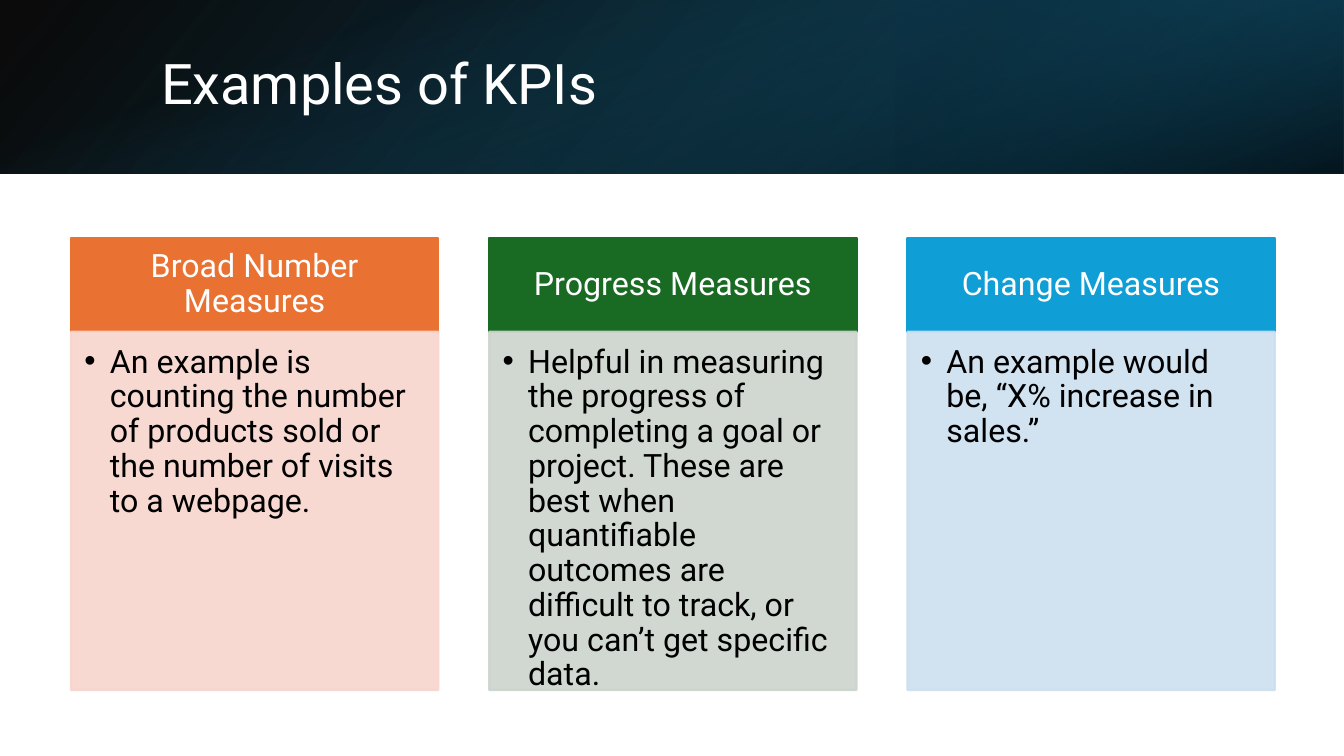
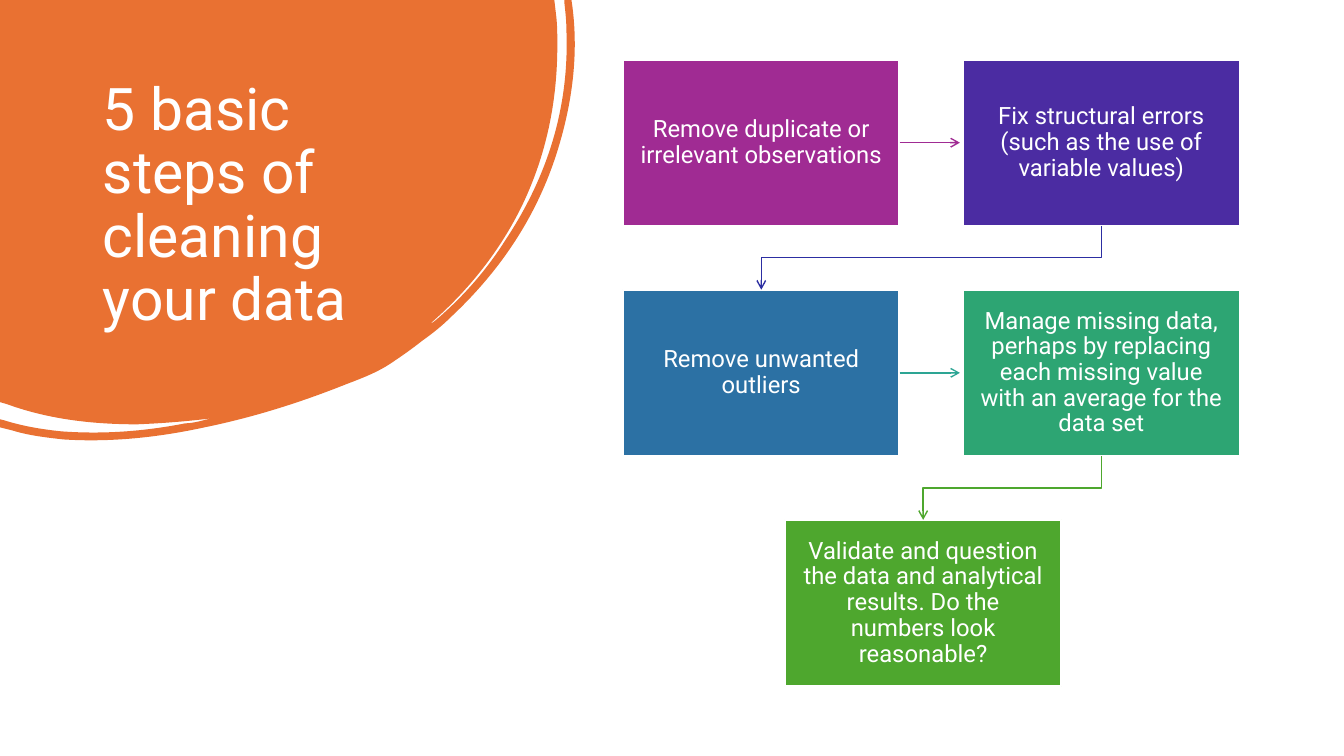
"""Build two slides: examples of KPIs and the steps of cleaning data."""
from dataclasses import dataclass

from pptx import Presentation, util as u
from pptx.dml.color import RGBColor
from pptx.enum import shapes, text
from pptx.oxml import ns, xmlchemy


@dataclass(frozen=True)
class Theme:
    """Colours, font and type sizes shared by the slides."""
    font: str = "Roboto"
    bullet_font: str = "Arial"
    white: str = "FFFFFF"
    black: str = "000000"
    orange: str = "E97132"
    teal: str = "156082"
    teal_mid: str = "104862"
    teal_dark: str = "0B3041"
    band_title: int = 40
    blob_title: int = 42
    measure: int = 23
    step: int = 17
    line_spacing: float = 0.9


THEME = Theme()
SLIDE_W, SLIDE_H = 33.87, 19.05
BAND_H = 4.37

MEASURES = [
    ("Broad Number Measures", THEME.orange, "F7D5CE",
     "An example is counting the number of products sold or the number of visits to a webpage."),
    ("Progress Measures", "196B24", "CCD4CD",
     "Helpful in measuring the progress of completing a goal or project. These are best when "
     "quantifiable outcomes are difficult to track, or you can’t get specific data."),
    ("Change Measures", "0F9ED5", "CCDFEF",
     "An example would be, “X% increase in sales.”"),
]

STEP_TOP, STEP_W, STEP_H, STEP_DY = 1.5, 6.97, 4.19, 5.8
LEFT, MIDDLE, RIGHT = 15.7, 19.78, 24.27
ARROW_LENGTH = 1.52
STEPS = [
    ("Remove duplicate or irrelevant observations", "A02B93", LEFT, 0),
    ("Fix structural errors (such as the use of variable values)", "4B2CA2", RIGHT, 0),
    ("Remove unwanted outliers", "2C71A4", LEFT, 1),
    ("Manage missing data, perhaps by replacing each missing value with an average for the data set",
     "2DA573", RIGHT, 1),
    ("Validate and question the data and analytical results. Do the numbers look reasonable?",
     "4EA72E", MIDDLE, 2),
]
ARROW_COLORS = ["A02B93", "2C2EA2", "2DA594", "4EA72E"]

BLOB_GRID = u.Cm(2.54) / 100
BLOB_W, BLOB_H = 571, 437
BLOB = [
    (0, 0), (550, 0), (552, 17),
    (553, 26, 553, 36, 553, 45), (553, 101, 542, 154, 518, 204), (496, 249, 465, 288, 427, 321),
    (429, 321, 430, 319, 432, 318), (459, 295, 482, 269, 501, 239), (543, 176, 565, 107, 562, 30),
    (562, 21, 561, 12, 560, 3), (560, 0), (567, 0), (568, 7),
    (574, 54, 568, 102, 553, 150), (533, 214, 497, 268, 448, 314), (439, 323, 429, 331, 419, 338),
    (409, 346, 399, 353, 387, 361), (375, 369, 360, 375, 344, 381), (299, 399, 252, 414, 203, 424),
    (157, 434, 110, 439, 63, 436), (45, 434, 28, 432, 12, 427), (0, 424), (0, 416), (4, 417),
    (23, 423, 42, 426, 61, 428), (103, 431, 143, 428, 184, 420), (189, 420, 193, 419, 198, 418),
    (202, 417, 206, 416, 210, 415), (186, 418, 161, 420, 136, 421), (92, 421, 48, 416, 7, 401),
    (0, 399),
]


def rgb(color):
    """Turn a hex string into a colour."""
    return RGBColor.from_string(color)


def append_element(parent, tag, **attributes):
    """Append a drawing element with its attributes and return it."""
    child = xmlchemy.OxmlElement(tag)
    for name, value in attributes.items():
        child.set(name, str(value))
    parent.append(child)
    return child


def set_opacity(shape, percents):
    """Give the colours of a shape, in order, their opacity in percent."""
    for color, percent in zip(shape._element.spPr.iter(ns.qn("a:srgbClr")), percents):
        append_element(color, "a:alpha", val=percent * 1000)


def write(shape, words, size, color, align=text.PP_ALIGN.LEFT,
          anchor=text.MSO_ANCHOR.TOP, insets=(0.25, 0.13, 0.25, 0.13)):
    """Fill a shape with one formatted paragraph and return the paragraph."""
    frame = shape.text_frame
    frame.text = words
    frame.word_wrap = True
    frame.vertical_anchor = anchor
    (frame.margin_left, frame.margin_top,
     frame.margin_right, frame.margin_bottom) = map(u.Cm, insets)
    paragraph = frame.paragraphs[0]
    paragraph.alignment = align
    paragraph.line_spacing = THEME.line_spacing
    font = paragraph.runs[0].font
    font.name, font.size, font.color.rgb = THEME.font, u.Pt(size), rgb(color)
    return paragraph


def add_title(slide, words, box, size, anchor):
    """Add a white slide title."""
    title = slide.shapes.add_textbox(*map(u.Cm, box))
    write(title, words, size, THEME.white, anchor=anchor)


def add_panel(slide, box, fill, line):
    """Add a filled rectangle with an outline."""
    panel = slide.shapes.add_shape(shapes.MSO_SHAPE.RECTANGLE, *map(u.Cm, box))
    panel.shadow.inherit = False
    panel.fill.solid()
    panel.fill.fore_color.rgb = rgb(fill)
    panel.line.color.rgb = rgb(line)
    panel.line.width = u.Pt(1.5)
    return panel


def add_band_layer(slide, box, stops, angle, rotation=0, flipped=False):
    """Add one translucent gradient layer of the title band."""
    layer = slide.shapes.add_shape(shapes.MSO_SHAPE.RECTANGLE, *map(u.Cm, box))
    layer.shadow.inherit = False
    layer.line.fill.background()
    layer.rotation = rotation
    if flipped:
        layer._element.spPr.find(ns.qn("a:xfrm")).set("flipH", "1")
    layer.fill.gradient()
    layer.fill.gradient_angle = 360 - angle
    for stop, (position, color, _) in zip(layer.fill.gradient_stops, stops):
        stop.position = position
        stop.color.rgb = rgb(color)
    set_opacity(layer, [opacity for _, _, opacity in stops])


def add_band(slide):
    """Add the dark title band across the top."""
    add_band_layer(slide, (0, 0, SLIDE_W, BAND_H),
                   [(0, THEME.black, 96), (1, THEME.teal_mid, 100)], 140, flipped=True)
    add_band_layer(slide, (SLIDE_W * 2 / 3, 0, SLIDE_W / 3, BAND_H),
                   [(0.19, THEME.teal_dark, 68), (1, THEME.teal, 79)], 320, 180, True)
    offset = (SLIDE_W - BAND_H) / 2
    add_band_layer(slide, (offset, -offset, BAND_H, SLIDE_W),
                   [(0.23, THEME.teal, 0), (0.99, THEME.black, 74)], 340, 90)


def add_bullet(paragraph):
    """Give a paragraph a hanging bullet."""
    properties = paragraph._p.get_or_add_pPr()
    indent = u.Cm(0.64)
    properties.set("marL", str(indent))
    properties.set("indent", str(-indent))
    append_element(properties, "a:buFont", typeface=THEME.bullet_font)
    append_element(properties, "a:buChar", char="•")


def add_measure(slide, left, heading, strong, pale, description):
    """Add a column with a coloured heading over a pale body."""
    width, top, heading_h, body_h = 9.26, 5.99, 2.37, 9.03
    head = add_panel(slide, (left, top, width, heading_h), strong, strong)
    write(head, heading, THEME.measure, THEME.white, text.PP_ALIGN.CENTER,
          text.MSO_ANCHOR.MIDDLE, (0.46, 0.25, 0.46, 0.25))
    body = add_panel(slide, (left, top + heading_h, width, body_h), pale, pale)
    set_opacity(body, (90, 90))
    add_bullet(write(body, description, THEME.measure, THEME.black,
                     insets=(0.34, 0.34, 0.46, 0.51)))


def add_step(slide, words, color, left, row):
    """Add one step box of the flow."""
    step = add_panel(slide, (left, STEP_TOP + row * STEP_DY, STEP_W, STEP_H),
                     color, THEME.white)
    write(step, words, THEME.step, THEME.white, text.PP_ALIGN.CENTER,
          text.MSO_ANCHOR.MIDDLE, (0.33, 0.36, 0.33, 0.36))
    return step


def turn_downwards(elbow):
    """Turn an elbow so that it leaves and arrives vertically, going left."""
    left, top, width, height = elbow.left, elbow.top, elbow.width, elbow.height
    elbow.left = left + (width - height) // 2
    elbow.top = top + (height - width) // 2
    elbow.width, elbow.height = height, width
    frame = elbow._element.spPr.find(ns.qn("a:xfrm"))
    frame.attrib.pop("flipH", None)
    frame.set("rot", "5400000")


def add_straight(slide, start):
    """Add a line from the right side of a step towards its neighbour."""
    x, y = start.left + start.width, start.top + start.height // 2
    line = slide.shapes.add_connector(shapes.MSO_CONNECTOR.STRAIGHT,
                                      x, y, x + u.Cm(ARROW_LENGTH), y)
    line.begin_connect(start, 3)
    line.end_y = line.begin_y
    return line


def add_elbow(slide, start, end):
    """Add an elbow from the bottom of a step to the top of the next one."""
    elbow = slide.shapes.add_connector(shapes.MSO_CONNECTOR.ELBOW, 0, 0, 0, 0)
    elbow.begin_connect(start, 2)
    elbow.end_connect(end, 0)
    turn_downwards(elbow)
    return elbow


def add_arrow(slide, start, end, color):
    """Lead from one step to the next with an arrow."""
    same_row = start.top == end.top
    arrow = add_straight(slide, start) if same_row else add_elbow(slide, start, end)
    arrow.line.color.rgb = rgb(color)
    arrow.line.width = u.Pt(1)
    properties = arrow._element.spPr
    append_element(properties.find(ns.qn("a:ln")), "a:tailEnd", type="arrow")
    append_element(properties, "a:effectLst")


def bend(shape, segments):
    """Turn the lines of an outline into curves where control points are given."""
    outline = next(shape._element.spPr.iter(ns.qn("a:path")))
    lines = list(outline.iter(ns.qn("a:lnTo")))
    for line, segment in zip(lines, segments):
        if len(segment) == 6:
            curve = xmlchemy.OxmlElement("a:cubicBezTo")
            for x, y in zip(segment[::2], segment[1::2]):
                append_element(curve, "a:pt", x=x, y=y)
            outline.replace(line, curve)
    outline.set("w", str(BLOB_W))
    outline.set("h", str(BLOB_H))


def add_blob(slide):
    """Add the orange blob with its swinging outline in the corner."""
    builder = slide.shapes.build_freeform(*BLOB[0], scale=BLOB_GRID)
    builder.add_line_segments([segment[-2:] for segment in BLOB[1:]], close=True)
    blob = builder.convert_to_shape()
    bend(blob, BLOB[1:])
    blob.width, blob.height = (u.Emu(int(side * BLOB_GRID)) for side in (BLOB_W, BLOB_H))
    blob.shadow.inherit = False
    blob.fill.solid()
    blob.fill.fore_color.rgb = rgb(THEME.orange)
    blob.line.fill.background()


def build_kpis(slide):
    """Build the slide with three kinds of KPI."""
    add_band(slide)
    add_title(slide, "Examples of KPIs", (3.81, 0.95, 27.89, 2.44),
              THEME.band_title, text.MSO_ANCHOR.MIDDLE)
    for index, measure in enumerate(MEASURES):
        add_measure(slide, 1.79 + index * 10.54, *measure)


def build_cleaning(slide):
    """Build the slide with the data cleaning flow."""
    add_blob(slide)
    add_title(slide, "5 basic steps of cleaning your data", (2.34, 1.87, 8.94, 5.64),
              THEME.blob_title, text.MSO_ANCHOR.TOP)
    steps = [add_step(slide, *step) for step in STEPS]
    for start, end, color in zip(steps, steps[1:], ARROW_COLORS):
        add_arrow(slide, start, end, color)


def main():
    """Build and save the presentation."""
    deck = Presentation()
    deck.slide_width, deck.slide_height = u.Cm(SLIDE_W), u.Cm(SLIDE_H)
    for build in (build_kpis, build_cleaning):
        build(deck.slides.add_slide(deck.slide_layouts[6]))
    deck.save("out.pptx")


if __name__ == "__main__":
    main()
